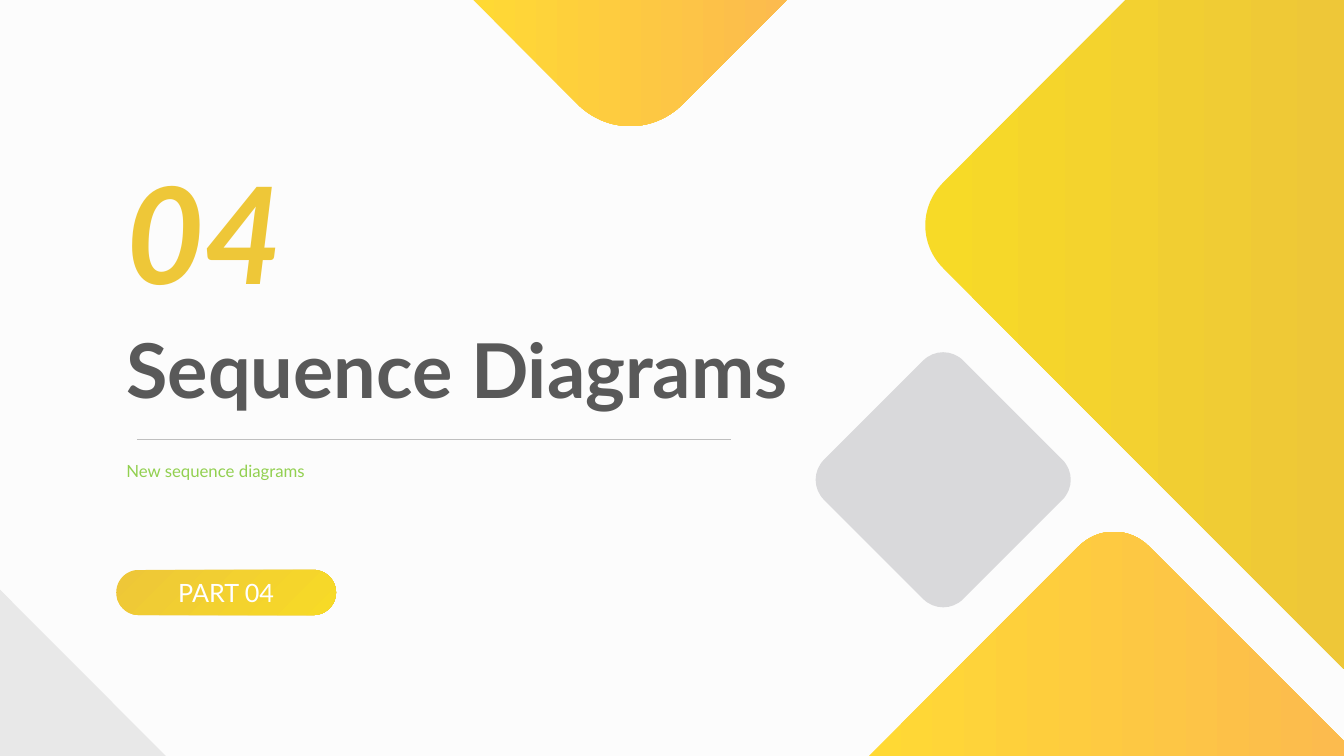
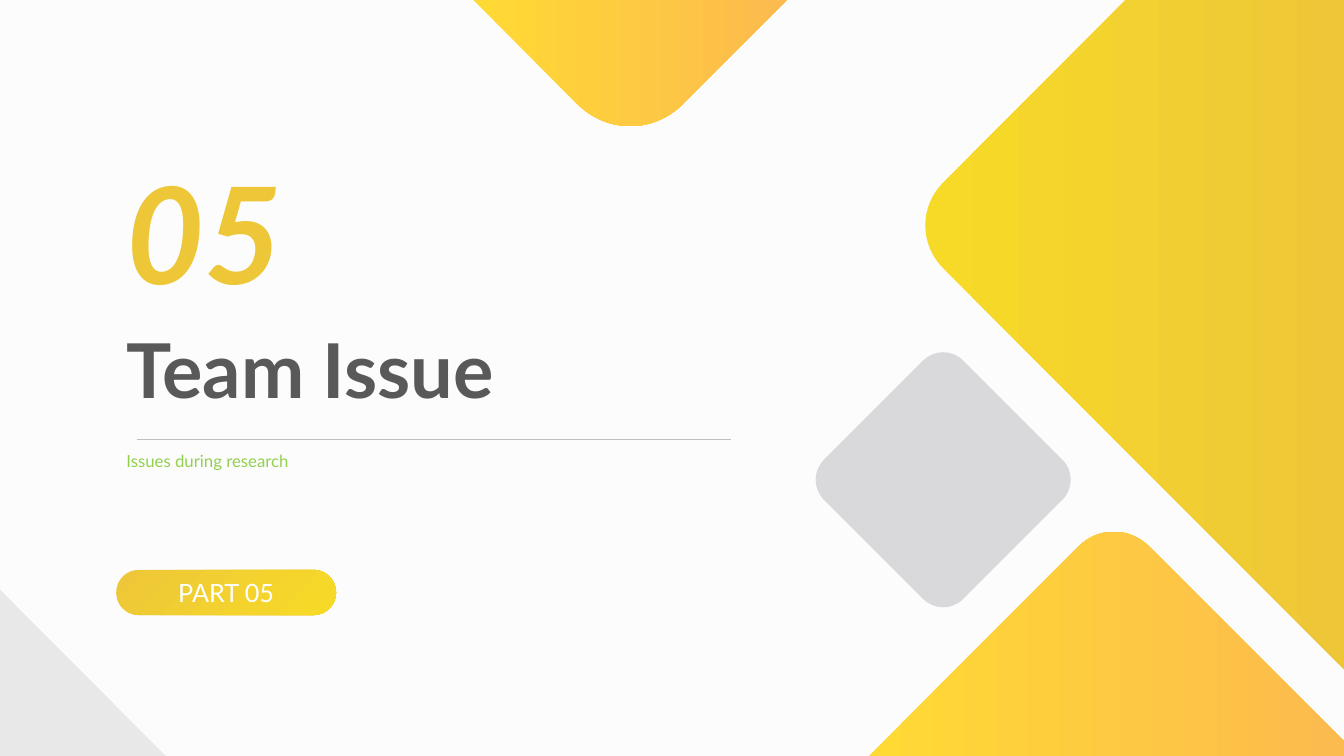
from dataclasses import dataclass
from math import dist
from typing import Any

from lxml import etree
from pptx import Presentation
from pptx.dml.color import RGBColor
from pptx.enum.shapes import MSO_CONNECTOR, MSO_SHAPE
from pptx.enum.text import MSO_ANCHOR, MSO_AUTO_SIZE, PP_ALIGN
from pptx.oxml.ns import qn
from pptx.util import Cm, Pt

LEFT, CENTER = PP_ALIGN.LEFT, PP_ALIGN.CENTER
TOP, MIDDLE = MSO_ANCHOR.TOP, MSO_ANCHOR.MIDDLE
NO_AUTOFIT = MSO_AUTO_SIZE.NONE
ROUNDED = MSO_SHAPE.ROUNDED_RECTANGLE
STRAIGHT = MSO_CONNECTOR.STRAIGHT

PAPER = RGBColor(0xFC, 0xFC, 0xFC)
PALE_GRAY = RGBColor(0xE8, 0xE8, 0xE8)
DIAMOND_GRAY = RGBColor(0xD9, 0xD9, 0xDB)
RULE_GRAY = RGBColor(0xBF, 0xBF, 0xBF)
HEADING_GRAY = RGBColor(0x59, 0x59, 0x59)
GREEN = RGBColor(0x92, 0xD0, 0x50)
WHITE = RGBColor(0xFF, 0xFF, 0xFF)
LEMON = RGBColor(0xF7, 0xDA, 0x27)
GOLD = RGBColor(0xEE, 0xC7, 0x38)
SUN = RGBColor(0xFF, 0xD9, 0x34)
AMBER = RGBColor(0xFC, 0xBB, 0x4E)

FONT = "Lato"
WIDTH, HEIGHT = 33.87, 19.05
MARGIN = 2.93
ARC_RATIO = 0.56

Point = tuple[float, float]


@dataclass(frozen=True)
class Corner:
    x: float
    y: float
    trim: float = 0

    @property
    def tip(self) -> Point:
        return self.x, self.y


@dataclass(frozen=True)
class Panel:
    corners: tuple[Corner, ...]
    colors: tuple[RGBColor, ...]


@dataclass(frozen=True)
class Section:
    number: str
    heading: str
    summary: str
    summary_spacing: float


@dataclass(frozen=True)
class TextStyle:
    font: dict[str, Any]
    color: RGBColor
    align: PP_ALIGN = LEFT
    anchor: MSO_ANCHOR = TOP


HEADING = TextStyle({"size": Pt(54), "bold": True}, HEADING_GRAY)
NUMBER = TextStyle({"size": Pt(96), "bold": True, "italic": True}, GOLD)
SUMMARY = TextStyle({"size": Pt(12)}, GREEN)
PART = TextStyle({"size": Pt(18)}, WHITE, CENTER, MIDDLE)

PANELS = (
    Panel((Corner(0, 14.86), Corner(0, HEIGHT), Corner(4.18, HEIGHT)), (PALE_GRAY,)),
    Panel(
        (Corner(28.37, 0), Corner(22.69, 5.68, 1.53), Corner(WIDTH, 16.86), Corner(WIDTH, 0)),
        (LEMON, GOLD),
    ),
    Panel(
        (Corner(21.9, HEIGHT), Corner(28.07, 12.88, 1.26), Corner(WIDTH, 18.68), Corner(WIDTH, HEIGHT)),
        (SUN, AMBER),
    ),
    Panel((Corner(11.93, 0), Corner(15.88, 3.95, 1.88), Corner(19.83, 0)), (SUN, AMBER)),
    Panel(
        tuple(
            Corner(23.77 + 3.51 * dx, 12.09 + 3.51 * dy, 0.72)
            for dx, dy in ((0, -1), (1, 0), (0, 1), (-1, 0))
        ),
        (DIAMOND_GRAY,),
    ),
)

SECTIONS = (
    Section("04", "Sequence Diagrams", "New sequence diagrams", 1.5),
    Section("05", "Team Issue", "Issues during research", 1),
)


def box(left: float, top: float, width: float, height: float) -> tuple[Cm, ...]:
    return Cm(left), Cm(top), Cm(width), Cm(height)


def toward(start: Point, end: Point, length: float) -> Point:
    share = length / dist(start, end)
    return start[0] + (end[0] - start[0]) * share, start[1] + (end[1] - start[1]) * share


def corner_curve(before: Corner, corner: Corner, after: Corner) -> tuple[Point, ...]:
    start = toward(corner.tip, before.tip, corner.trim)
    end = toward(corner.tip, after.tip, corner.trim)
    pull = corner.trim * ARC_RATIO
    return start, toward(start, corner.tip, pull), toward(end, corner.tip, pull), end


def curve_middle(curve: tuple[Point, ...]) -> Point:
    x, y = (sum(w * p[axis] for w, p in zip((1, 3, 3, 1), curve)) / 8 for axis in (0, 1))
    return x, y


def paint(shape, colors: tuple[RGBColor, ...], angle: float = 0) -> None:
    if len(colors) == 1:
        shape.fill.solid()
        shape.fill.fore_color.rgb = colors[0]
    else:
        shape.fill.gradient()
        shape.fill.gradient_angle = angle
        for stop, color in zip(shape.fill.gradient_stops, colors):
            stop.color.rgb = color
    shape.line.fill.background()
    shape.shadow.inherit = False


def bend(shape, middle_step, end_step, curve: tuple[Point, ...]) -> None:
    bezier = etree.Element(qn("a:cubicBezTo"))
    for x, y in curve[1:]:
        position = {"x": str(Cm(x) - shape.left), "y": str(Cm(y) - shape.top)}
        etree.SubElement(bezier, qn("a:pt"), position)
    outline = middle_step.getparent()
    outline.replace(middle_step, bezier)
    outline.remove(end_step)


def draw_panel(slide, panel: Panel):
    corners = panel.corners
    points: list[Point] = []
    curves: dict[int, tuple[Point, ...]] = {}
    for i, corner in enumerate(corners):
        if corner.trim:
            curve = corner_curve(corners[i - 1], corner, corners[(i + 1) % len(corners)])
            curves[len(points)] = curve
            points += [curve[0], curve_middle(curve), curve[-1]]
        else:
            points.append(corner.tip)
    outline = [(Cm(x), Cm(y)) for x, y in points]
    builder = slide.shapes.build_freeform(*outline[0])
    builder.add_line_segments(outline[1:], close=True)
    shape = builder.convert_to_shape()
    steps = list(next(shape.element.iter(qn("a:path"))))
    for start, curve in curves.items():
        bend(shape, steps[start + 1], steps[start + 2], curve)
    paint(shape, panel.colors)
    return shape


def draw_rule(slide) -> None:
    rule = slide.shapes.add_connector(STRAIGHT, Cm(3.45), Cm(11.07), Cm(18.42), Cm(11.07))
    rule.line.color.rgb = RULE_GRAY
    rule.line.width = Pt(0.75)
    etree.SubElement(rule.element.spPr, qn("a:effectLst"))


def write(shape, text: str, style: TextStyle, spacing: float = 1) -> None:
    frame = shape.text_frame
    frame.text = text
    frame_format = {"word_wrap": True, "auto_size": NO_AUTOFIT, "vertical_anchor": style.anchor}
    paragraph = frame.paragraphs[0]
    paragraph_format = {"alignment": style.align, "line_spacing": spacing, "space_before": Pt(0)}
    font = paragraph.runs[0].font
    for target, values in (
        (frame, frame_format),
        (paragraph, paragraph_format),
        (font, {"name": FONT, **style.font}),
    ):
        for name, value in values.items():
            setattr(target, name, value)
    font.color.rgb = style.color


def prepare_layout(layout) -> None:
    layout.background.fill.solid()
    layout.background.fill.fore_color.rgb = PAPER
    places = {0: box(MARGIN, 8, 22, 2.57), 1: box(MARGIN, 11.23, 15.98, 1.02)}
    for placeholder in list(layout.placeholders):
        place = places.get(placeholder.placeholder_format.idx)
        if place is None:
            layout.shapes.element.remove(placeholder.element)
        else:
            placeholder.left, placeholder.top, placeholder.width, placeholder.height = place


def decorate_layout(layout, slide) -> None:
    for panel in [draw_panel(slide, panel) for panel in PANELS]:
        layout.shapes.element.append(panel.element)


def fill_section(slide, section: Section) -> None:
    write(slide.shapes.title, section.heading, HEADING)
    write(slide.placeholders[1], section.summary, SUMMARY, section.summary_spacing)
    number = slide.shapes.add_textbox(*box(MARGIN, 3.66, 5.05, 4.37))
    write(number, section.number, NUMBER)
    part = slide.shapes.add_shape(ROUNDED, *box(MARGIN, 14.36, 5.54, 1.14))
    part.adjustments[0] = 0.5
    paint(part, (GOLD, LEMON), 315)
    write(part, f"PART {section.number}", PART)
    draw_rule(slide)


def main() -> None:
    prs = Presentation()
    prs.slide_width, prs.slide_height = Cm(WIDTH), Cm(HEIGHT)
    layout = prs.slide_layouts[0]
    prepare_layout(layout)
    slides = [prs.slides.add_slide(layout) for _ in SECTIONS]
    decorate_layout(layout, slides[0])
    for slide, section in zip(slides, SECTIONS):
        fill_section(slide, section)
    prs.save("out.pptx")


if __name__ == "__main__":
    main()
